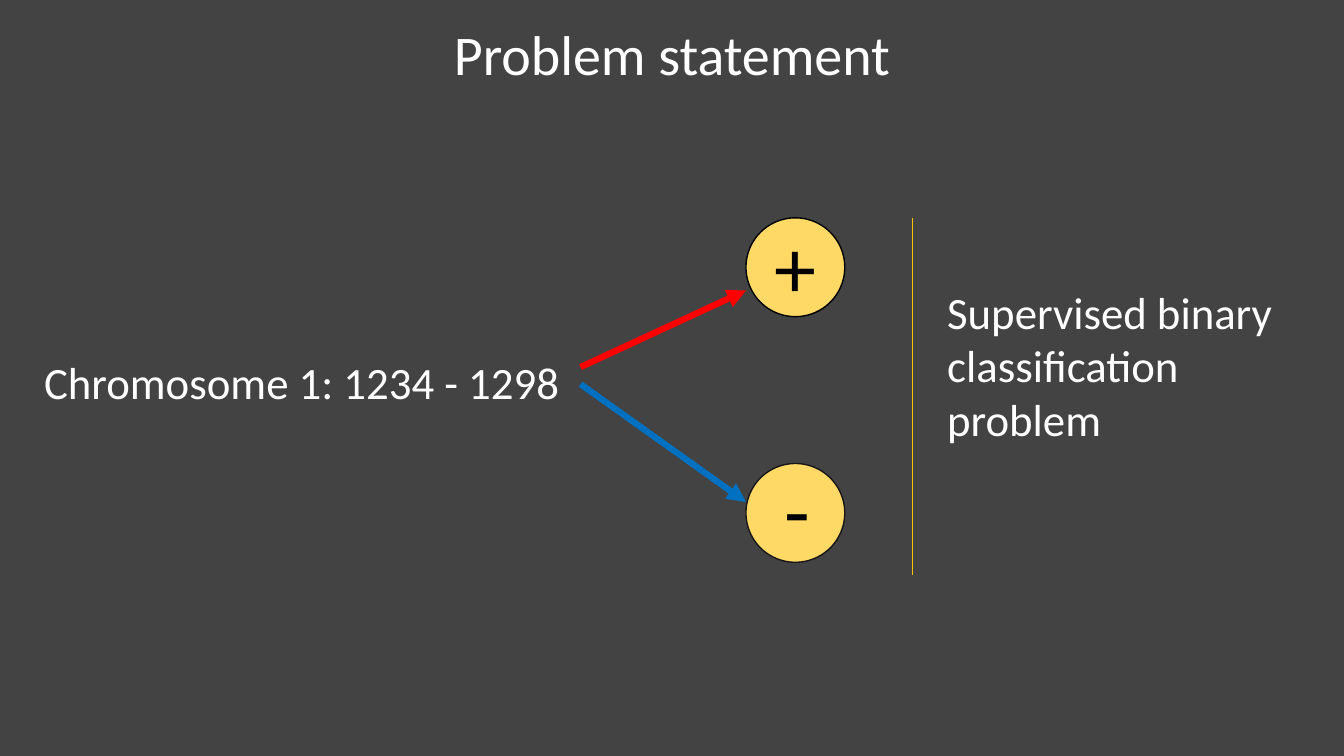
from dataclasses import dataclass

from lxml import etree
from pptx import Presentation
from pptx.dml.color import RGBColor
from pptx.enum.shapes import MSO_CONNECTOR, MSO_SHAPE
from pptx.enum.text import MSO_AUTO_SIZE, PP_ALIGN
from pptx.oxml.ns import qn
from pptx.slide import Slide
from pptx.util import Cm, Pt

STRAIGHT = MSO_CONNECTOR.STRAIGHT
ELLIPSE = MSO_SHAPE.OVAL
FIT_SHAPE = MSO_AUTO_SIZE.SHAPE_TO_FIT_TEXT
LEFT, CENTER = PP_ALIGN.LEFT, PP_ALIGN.CENTER

BACKGROUND, WHITE, BLACK = "434343", "FFFFFF", "000000"
CLASS_FILL = "FFD966"
CLASS_LEFT, CLASS_SIZE = 18.8, 2.49
POSITIVE_TOP, NEGATIVE_TOP = 5.49, 11.68
REGION_EDGE = 14.63
DIVIDER_X = 22.99


@dataclass(frozen=True)
class Label:
    lines: tuple[str, ...]
    left: float
    top: float
    width: float
    height: float
    size: int = 32
    color: str = WHITE
    align: PP_ALIGN = LEFT


@dataclass(frozen=True)
class ClassCircle:
    top: float
    outline: str


@dataclass(frozen=True)
class Line:
    start: tuple[float, float]
    end: tuple[float, float]
    color: str
    width: float
    arrow: bool = False


LABELS = (
    Label(("Problem statement",), 4.83, 0.38, 24.21, 1.96, size=40, align=CENTER),
    Label(("Chromosome 1: 1234 - 1298",), 0.86, 8.81, 14.25, 1.63),
    Label(("+",), 19.28, 5.28, 0.76, 2.82, size=60, color=BLACK),
    Label(("-",), 19.53, 11.4, 0.76, 2.82, size=60, color=BLACK),
    Label(("Supervised binary", "classification", "problem"), 23.62, 7.04, 8.92, 4.37),
)
CIRCLES = (ClassCircle(POSITIVE_TOP, BLACK), ClassCircle(NEGATIVE_TOP, "181717"))
LINES = (
    Line((REGION_EDGE, 9.25), (CLASS_LEFT, 7.32), "FF0000", 4.5, arrow=True),
    Line((REGION_EDGE, 9.68), (CLASS_LEFT, 12.65), "0070C0", 4.5, arrow=True),
    Line((DIVIDER_X, POSITIVE_TOP), (DIVIDER_X, 14.48), "FFC000", 0.5),
)


def rgb(color: str) -> RGBColor:
    return RGBColor.from_string(color)


def add_label(slide: Slide, label: Label) -> None:
    box = slide.shapes.add_textbox(
        Cm(label.left), Cm(label.top), Cm(label.width), Cm(label.height)
    )
    frame = box.text_frame
    frame.text = "\n".join(label.lines)
    frame.word_wrap = True
    frame.auto_size = FIT_SHAPE
    font_format = {"name": "Calibri", "size": Pt(label.size)}
    for paragraph in frame.paragraphs:
        paragraph.alignment = label.align
        for run in paragraph.runs:
            for attribute, value in font_format.items():
                setattr(run.font, attribute, value)
            run.font.color.rgb = rgb(label.color)


def add_circle(slide: Slide, circle: ClassCircle) -> None:
    disc = slide.shapes.add_shape(
        ELLIPSE, Cm(CLASS_LEFT), Cm(circle.top), Cm(CLASS_SIZE), Cm(CLASS_SIZE)
    )
    disc.shadow.inherit = False
    disc.fill.solid()
    disc.fill.fore_color.rgb = rgb(CLASS_FILL)
    disc.line.color.rgb = rgb(circle.outline)
    disc.line.width = Pt(1)


def add_line(slide: Slide, line: Line) -> None:
    connector = slide.shapes.add_connector(
        STRAIGHT, *(Cm(value) for value in line.start + line.end)
    )
    connector.line.color.rgb = rgb(line.color)
    connector.line.width = Pt(line.width)
    if line.arrow:
        outline = connector.line._get_or_add_ln()
        etree.SubElement(outline, qn("a:tailEnd"), type="triangle")
    etree.SubElement(connector._element.spPr, qn("a:effectLst"))


def main() -> None:
    presentation = Presentation()
    presentation.slide_width = Cm(33.87)
    presentation.slide_height = Cm(19.05)
    slide = presentation.slides.add_slide(presentation.slide_layouts[6])
    slide.background.fill.solid()
    slide.background.fill.fore_color.rgb = rgb(BACKGROUND)

    for circle in CIRCLES:
        add_circle(slide, circle)
    for label in LABELS:
        add_label(slide, label)
    for line in LINES:
        add_line(slide, line)

    presentation.save("out.pptx")


if __name__ == "__main__":
    main()
